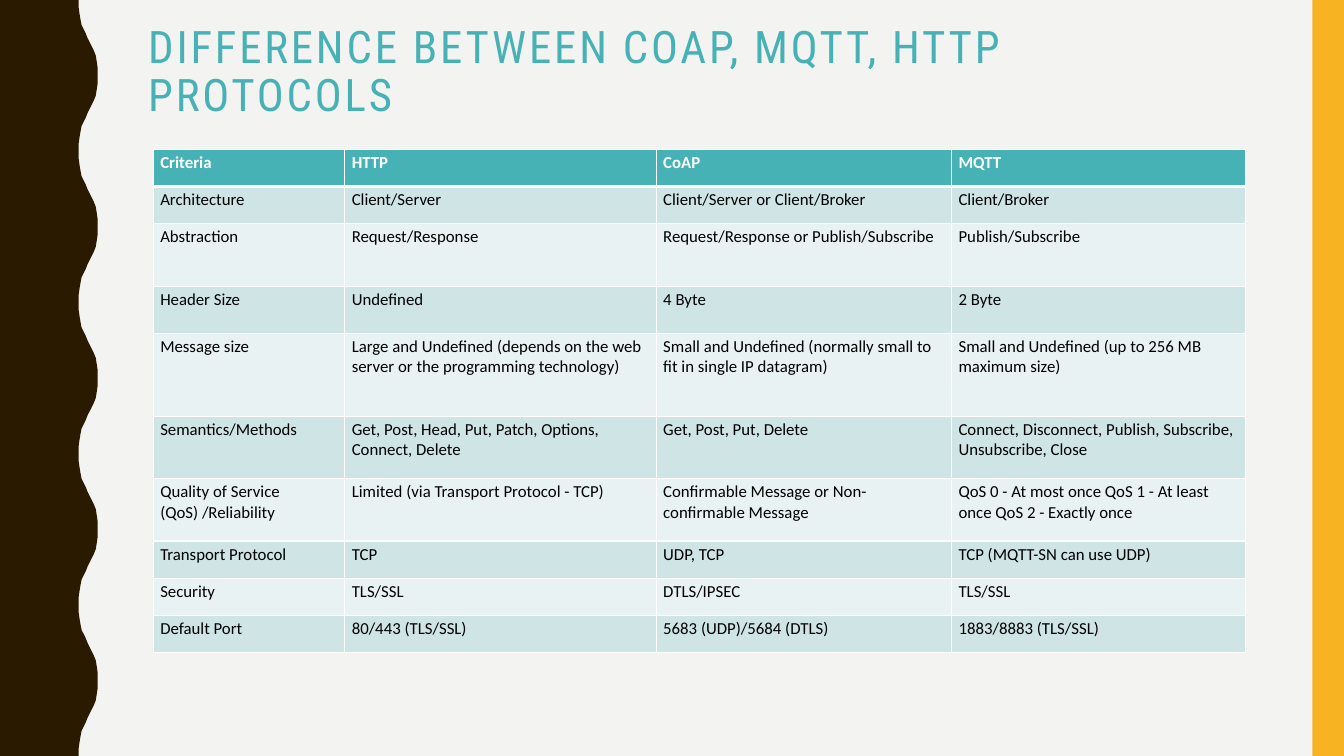
from dataclasses import dataclass

from lxml.etree import SubElement
from pptx import Presentation
from pptx.dml.color import RGBColor
from pptx.enum.shapes import MSO_SHAPE
from pptx.enum.text import MSO_ANCHOR, MSO_AUTO_SIZE, PP_ALIGN
from pptx.oxml.ns import qn
from pptx.shapes.base import BaseShape
from pptx.slide import Slide
from pptx.table import _Cell
from pptx.text.text import _Run
from pptx.util import Inches, Pt

GRID = Inches(0.1)
COLUMNS, ROWS = 133.33, 75
WAVES = 5
TEAL, WHITE, BLACK = "46B2B5", "FFFFFF", "000000"
BANDS = ("CFE4E5", "E9F2F3")
COLUMN_WIDTHS = (19, 30.9, 29.3, 29.2)
HALF_WAVE = (
    (7.8, 0), (7.8, 0.7), (7.9, 1.4), (8, 2), (8.1, 2.5), (8.3, 2.9),
    (8.5, 3.3), (8.7, 3.8), (8.9, 4.2), (9.1, 4.6), (9.3, 5), (9.5, 5.5),
    (9.6, 6.1), (9.7, 6.8), (9.7, 7.5),
)


@dataclass(frozen=True)
class Area:
    """A rectangle in grid columns and rows."""

    left: float
    top: float
    width: float
    height: float

    def lengths(self) -> tuple[int, int, int, int]:
        """Return the rectangle in slide units."""
        return units(self.left), units(self.top), units(self.width), units(self.height)


@dataclass(frozen=True)
class Criterion:
    """One table row: its height in grid rows and its texts."""

    height: float
    texts: tuple[str, str, str, str]


CRITERIA = (
    Criterion(3.7, ("Criteria", "HTTP", "CoAP", "MQTT")),
    Criterion(3.7, ("Architecture", "Client/Server", "Client/Server or Client/Broker", "Client/Broker")),
    Criterion(6.2, ("Abstraction", "Request/Response", "Request/Response or Publish/Subscribe",
                    "Publish/Subscribe")),
    Criterion(4.7, ("Header Size", "Undefined", "4 Byte", "2 Byte")),
    Criterion(8.2, ("Message size",
                    "Large and Undefined (depends on the web server or the programming technology)",
                    "Small and Undefined (normally small to fit in single IP datagram)",
                    "Small and Undefined (up to 256 MB maximum size)")),
    Criterion(6.2, ("Semantics/Methods", "Get, Post, Head, Put, Patch, Options, Connect, Delete",
                    "Get, Post, Put, Delete",
                    "Connect, Disconnect, Publish, Subscribe, Unsubscribe, Close")),
    Criterion(6.2, ("Quality of Service (QoS) /Reliability", "Limited (via Transport Protocol - TCP)",
                    "Confirmable Message or Non-confirmable Message",
                    "QoS 0 - At most once QoS 1 - At least once QoS 2 - Exactly once")),
    Criterion(3.7, ("Transport Protocol", "TCP", "UDP, TCP", "TCP (MQTT-SN can use UDP)")),
    Criterion(3.7, ("Security", "TLS/SSL", "DTLS/IPSEC", "TLS/SSL")),
    Criterion(3.7, ("Default Port", "80/443 (TLS/SSL)", "5683 (UDP)/5684 (DTLS)", "1883/8883 (TLS/SSL)")),
)


def units(steps: float) -> int:
    """Turn grid steps into slide units."""
    return round(steps * GRID)


def color(value: str) -> RGBColor:
    """Turn a hex string into a colour."""
    return RGBColor.from_string(value)


def paint(shape: BaseShape, fill: str) -> None:
    """Give a shape a plain fill without line or shadow."""
    shape.fill.solid()
    shape.fill.fore_color.rgb = color(fill)
    shape.line.fill.background()
    shape.shadow.inherit = False


def style(span: _Run, font: str, size: float, value: str, bold: bool = False) -> None:
    """Format a run of text."""
    span.font.name = font
    span.font.size = Pt(size)
    span.font.bold = bold
    span.font.color.rgb = color(value)


def draw_wave(page: Slide) -> None:
    """Draw the wavy band on the left edge."""
    length = 2 * HALF_WAVE[-1][1]
    wave = HALF_WAVE + tuple((x, length - y) for x, y in reversed(HALF_WAVE[:-1]))
    edge = [(x, y + turn * length) for turn in range(WAVES) for x, y in wave]
    builder = page.shapes.build_freeform(0, 0, scale=1.0)
    builder.add_line_segments([(units(x), units(y)) for x, y in edge + [(0, ROWS)]], close=True)
    paint(builder.convert_to_shape(), "2A1A00")


def draw_title(page: Slide, area: Area, text: str) -> None:
    """Place and format the title."""
    box = page.shapes.title
    box.left, box.top, box.width, box.height = area.lengths()
    frame = box.text_frame
    frame.text = text
    frame.word_wrap = True
    frame.auto_size = MSO_AUTO_SIZE.NONE
    frame.vertical_anchor = MSO_ANCHOR.MIDDLE
    para = frame.paragraphs[0]
    para.alignment = PP_ALIGN.LEFT
    para.line_spacing = 0.9
    span = para.runs[0]
    style(span, "Roboto Condensed", 32, TEAL)
    span.font._element.set("spc", "200")


def set_borders(cell: _Cell, top: float, bottom: float) -> None:
    """Draw white borders, with widths in points for top and bottom."""
    properties = cell._tc.get_or_add_tcPr()
    for side, width in (("L", 1), ("R", 1), ("T", top), ("B", bottom)):
        line = SubElement(properties, qn(f"a:ln{side}"), w=str(Pt(width)))
        SubElement(SubElement(line, qn("a:solidFill")), qn("a:srgbClr"), val=WHITE)


def fill_cell(cell: _Cell, text: str, row: int) -> None:
    """Write and format one cell."""
    header = row == 0
    set_borders(cell, 3 if row == 1 else 1, 3 if header else 1)
    cell.fill.solid()
    cell.fill.fore_color.rgb = color(TEAL if header else BANDS[(row - 1) % 2])
    cell.margin_left = cell.margin_right = units(0.7)
    cell.margin_top = cell.margin_bottom = units(0.3)
    cell.text_frame.text = text
    style(cell.text_frame.paragraphs[0].runs[0], "Calibri", 12, WHITE if header else BLACK, header)


def draw_table(page: Slide, left: float, top: float) -> None:
    """Draw the comparison table."""
    area = Area(left, top, sum(COLUMN_WIDTHS), sum(item.height for item in CRITERIA))
    table = page.shapes.add_table(len(CRITERIA), len(COLUMN_WIDTHS), *area.lengths()).table
    for column, width in zip(table.columns, COLUMN_WIDTHS):
        column.width = units(width)
    for row, item in enumerate(CRITERIA):
        table.rows[row].height = units(item.height)
        for column, text in enumerate(item.texts):
            fill_cell(table.cell(row, column), text, row)


def main() -> None:
    """Build and save the deck."""
    deck = Presentation()
    deck.slide_width, deck.slide_height = units(COLUMNS), units(ROWS)
    page = deck.slides.add_slide(deck.slide_layouts[5])
    page.background.fill.solid()
    page.background.fill.fore_color.rgb = color("F3F3F2")
    draw_wave(page)
    stripe = Area(130.2, 0, COLUMNS - 130.2, ROWS)
    paint(page.shapes.add_shape(MSO_SHAPE.RECTANGLE, *stripe.lengths()), "F8B323")
    draw_title(page, Area(13.7, 4.2, 111.3, 6.1), "DIFFERENCE BETWEEN COAP, MQTT, HTTP PROTOCOLS")
    draw_table(page, 15.2, 14.8)
    deck.save("out.pptx")


if __name__ == "__main__":
    main()
